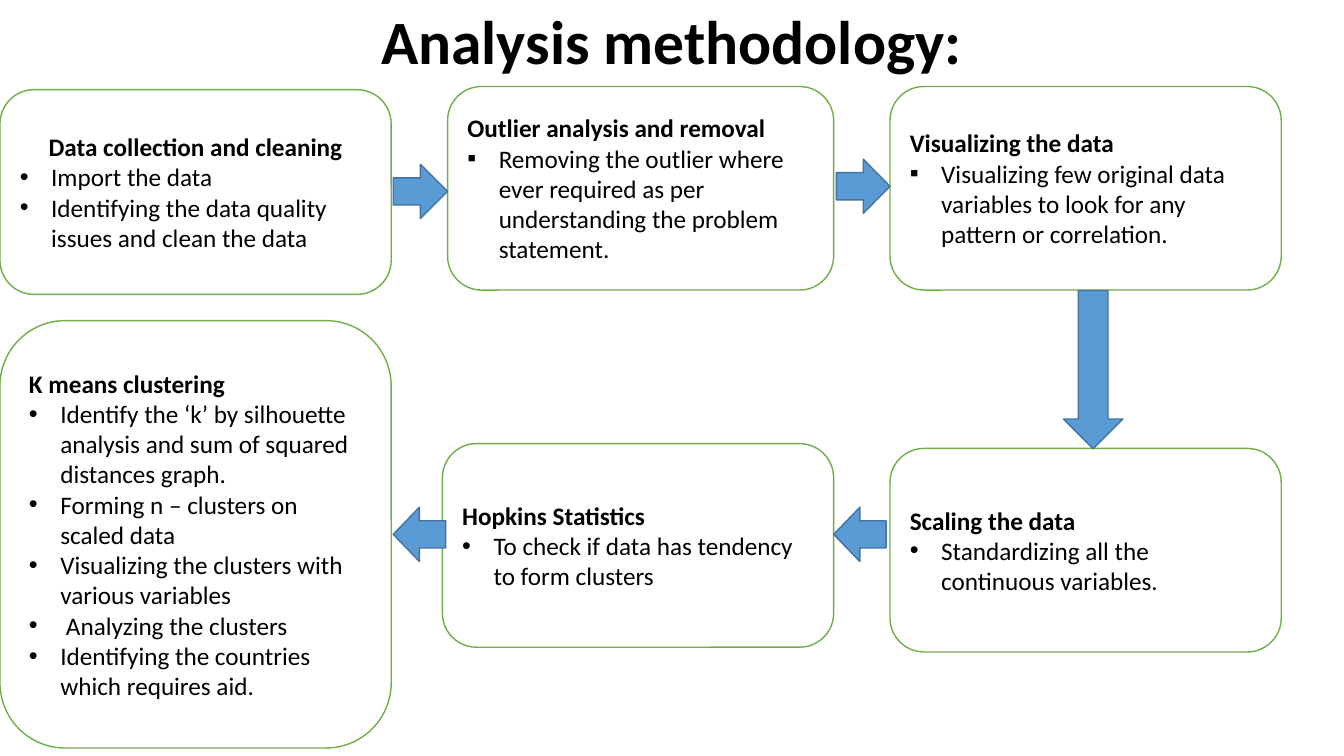
from lxml import etree
from pptx import Presentation
from pptx.dml.color import RGBColor
from pptx.enum.shapes import MSO_SHAPE
from pptx.enum.text import MSO_ANCHOR, PP_ALIGN
from pptx.oxml.ns import qn
from pptx.util import Cm, Pt

ROUNDED = MSO_SHAPE.ROUNDED_RECTANGLE
RIGHT_ARROW = MSO_SHAPE.RIGHT_ARROW
DOWN_ARROW = MSO_SHAPE.DOWN_ARROW
MIDDLE = MSO_ANCHOR.MIDDLE
LEFT = PP_ALIGN.LEFT
CENTER = PP_ALIGN.CENTER

FONT = "Calibri"
COLORS = {
    "text": "000000",
    "box": "FFFFFF",
    "box_line": "70AD47",
    "arrow": "5B9BD5",
    "arrow_line": "43739E",
}
BULLET_INDENT = Cm(0.79)

STEPS = [
    ((0, 2.26, 9.86, 5.16), CENTER, "•", "Data collection and cleaning", [
        "Import the data",
        "Identifying the data quality issues and clean the data",
    ]),
    ((11.28, 2.18, 9.73, 5.13), LEFT, "▪", "Outlier analysis and removal", [
        "Removing the outlier where ever required as per understanding the problem statement.",
    ]),
    ((22.43, 2.18, 9.86, 5.13), LEFT, "▪", "Visualizing the data", [
        "Visualizing few original data variables to look for any pattern or correlation.",
    ]),
    ((22.43, 11.3, 9.86, 5.13), LEFT, "•", "Scaling the data", [
        "Standardizing all the continuous variables.",
    ]),
    ((11.15, 11.18, 9.86, 5.13), LEFT, "•", "Hopkins Statistics", [
        "To check if data has tendency to form clusters",
    ]),
    ((0, 8.08, 9.86, 10.77), LEFT, "•", "K means clustering", [
        "Identify the ‘k’ by silhouette analysis and sum of squared distances graph.",
        "Forming n – clusters on scaled data",
        "Visualizing the clusters with various variables",
        " Analyzing the clusters",
        "Identifying the countries which requires aid.",
    ]),
]

ARROWS = [
    (RIGHT_ARROW, (9.91, 4.14, 1.37, 1.37), 0),
    (RIGHT_ARROW, (21.08, 4.01, 1.35, 1.37), 0),
    (RIGHT_ARROW, (21.01, 12.78, 1.32, 1.37), 180),
    (RIGHT_ARROW, (9.91, 12.78, 1.32, 1.37), 180),
    (DOWN_ARROW, (26.8, 7.32, 1.5, 3.99), 0),
]


def color(name):
    return RGBColor.from_string(COLORS[name])


def format_paragraph(paragraph, size, bold, alignment):
    paragraph.alignment = alignment
    for run in paragraph.runs:
        run.font.name = FONT
        run.font.size = Pt(size)
        run.font.bold = bold
        run.font.color.rgb = color("text")


def add_bullet(paragraph, character):
    properties = paragraph._p.get_or_add_pPr()
    properties.set("marL", str(BULLET_INDENT))
    properties.set("indent", str(-BULLET_INDENT))
    etree.SubElement(properties, qn("a:buFont")).set("typeface", "Arial")
    etree.SubElement(properties, qn("a:buChar")).set("char", character)


def add_title(slide, text, width):
    title = slide.shapes.add_textbox(0, 0, width, Cm(2.26))
    text_frame = title.text_frame
    text_frame.word_wrap = True
    text_frame.vertical_anchor = MIDDLE
    text_frame.text = text
    paragraph = text_frame.paragraphs[0]
    paragraph.line_spacing = 0.9
    format_paragraph(paragraph, 44, True, CENTER)


def add_filled_shape(slide, kind, bounds, fill):
    shape = slide.shapes.add_shape(kind, *map(Cm, bounds))
    shape.shadow.inherit = False
    shape.fill.solid()
    shape.fill.fore_color.rgb = color(fill)
    shape.line.color.rgb = color(f"{fill}_line")
    shape.line.width = Pt(1)
    return shape


def add_step(slide, bounds, heading_alignment, bullet, heading, items):
    text_frame = add_filled_shape(slide, ROUNDED, bounds, "box").text_frame
    text_frame.word_wrap = True
    text_frame.vertical_anchor = MIDDLE
    text_frame.text = "\n".join([heading, *items])
    heading_paragraph, *item_paragraphs = text_frame.paragraphs
    format_paragraph(heading_paragraph, 18, True, heading_alignment)
    for paragraph in item_paragraphs:
        format_paragraph(paragraph, 18, False, LEFT)
        add_bullet(paragraph, bullet)


def add_arrow(slide, kind, bounds, rotation):
    arrow = add_filled_shape(slide, kind, bounds, "arrow")
    arrow.rotation = rotation


def main():
    presentation = Presentation()
    presentation.slide_width = Cm(33.87)
    presentation.slide_height = Cm(19.05)
    slide = presentation.slides.add_slide(presentation.slide_layouts[6])
    add_title(slide, "Analysis methodology:", presentation.slide_width)
    for step in STEPS:
        add_step(slide, *step)
    for arrow in ARROWS:
        add_arrow(slide, *arrow)
    presentation.save("out.pptx")


if __name__ == "__main__":
    main()
